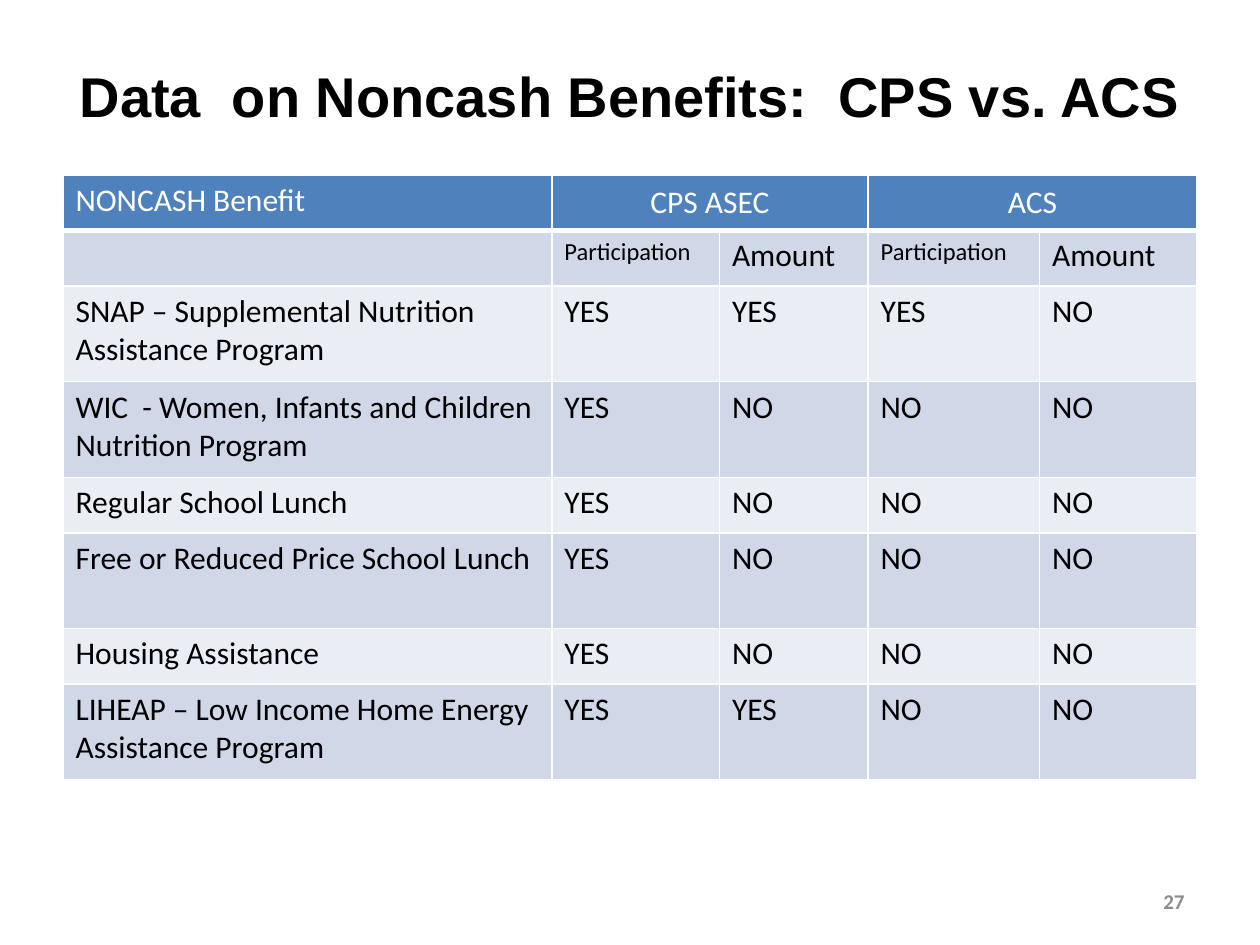
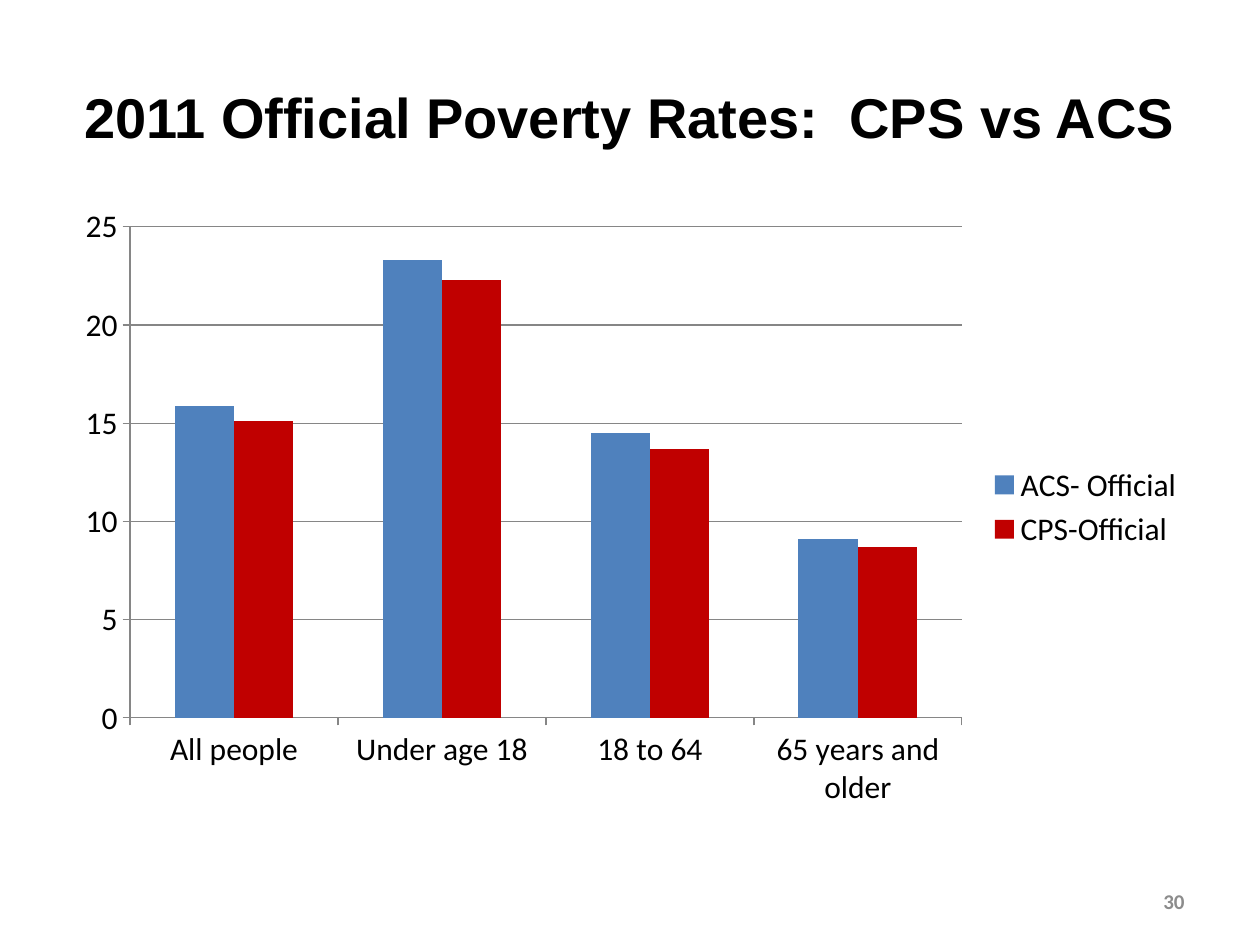
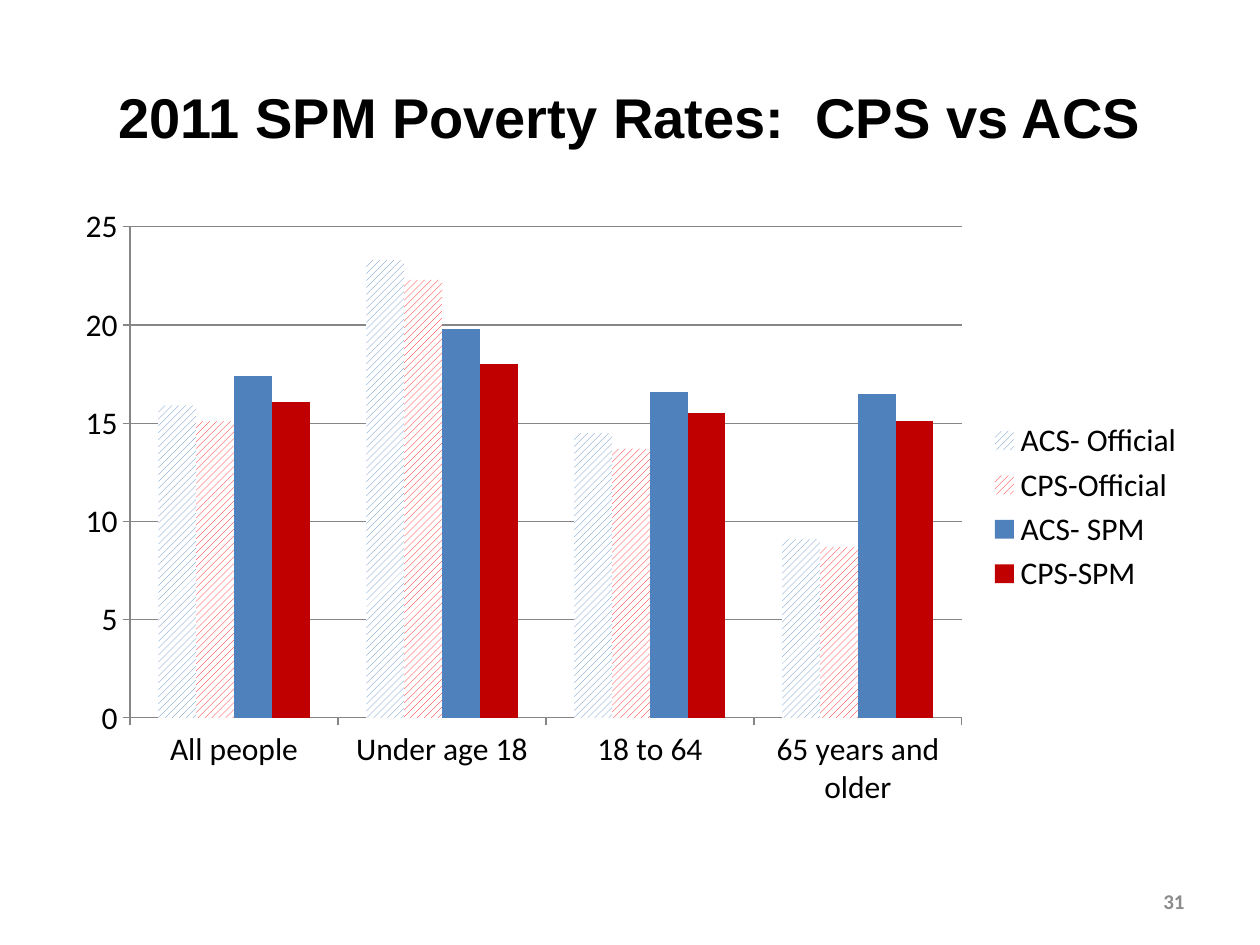
"""Build three slides comparing CPS and ACS benefit data and poverty rates."""
from dataclasses import dataclass

from lxml.etree import SubElement
from pptx import Presentation
from pptx.chart.data import CategoryChartData
from pptx.dml.color import RGBColor
from pptx.enum.chart import XL_CHART_TYPE, XL_LEGEND_POSITION, XL_TICK_MARK
from pptx.enum.dml import MSO_PATTERN
from pptx.enum.text import MSO_ANCHOR, PP_ALIGN
from pptx.oxml.ns import qn
from pptx.presentation import Presentation as Deck
from pptx.slide import Slide
from pptx.table import _Cell as Cell
from pptx.text.text import Font
from pptx.util import Pt

EMU_PER_PX = 9144
COLORS = {
    "black": "000000",
    "white": "FFFFFF",
    "blue": "4F81BD",
    "dark_red": "C00000",
    "red": "FF0000",
    "band_dark": "D0D8E8",
    "band_light": "E9EDF4",
    "page_gray": "8C8C8C",
    "axis_gray": "868686",
}
TITLE_FONT = "Arial"
BODY_FONT = "Calibri"


@dataclass(frozen=True)
class Box:
    left: int
    top: int
    width: int
    height: int

    def emu(self) -> tuple[int, int, int, int]:
        return px(self.left), px(self.top), px(self.width), px(self.height)


@dataclass(frozen=True)
class RateSeries:
    name: str
    values: tuple[float, ...]
    color: str
    hatched: bool = False


@dataclass(frozen=True)
class ChartSlide:
    title: str
    page: int
    series: tuple[RateSeries, ...]


TABLE_TITLE_BOX = Box(50, 30, 900, 91)
CHART_TITLE_BOX = Box(50, 30, 900, 125)
TABLE_BOX = Box(50, 139, 900, 478)
CHART_BOX = Box(50, 155, 900, 495)
PAGE_BOX = Box(717, 695, 233, 40)

COLUMN_WIDTHS = (388, 133, 118, 136, 125)
ROW_HEIGHTS = (44, 44, 76, 76, 44, 76, 44, 76)
BENEFIT_ROWS = (
    ("NONCASH Benefit", "CPS ASEC", "", "ACS", ""),
    ("", "Participation", "Amount", "Participation", "Amount"),
    ("SNAP – Supplemental Nutrition Assistance Program", "YES", "YES", "YES", "NO"),
    ("WIC  - Women, Infants and Children Nutrition Program", "YES", "NO", "NO", "NO"),
    ("Regular School Lunch", "YES", "NO", "NO", "NO"),
    ("Free or Reduced Price School Lunch", "YES", "NO", "NO", "NO"),
    ("Housing Assistance", "YES", "NO", "NO", "NO"),
    ("LIHEAP – Low Income Home Energy Assistance Program", "YES", "YES", "NO", "NO"),
)
SURVEY_COLUMNS = (1, 3)

AGE_GROUPS = ("All people", "Under age 18", "18 to 64", "65 years and older")
ACS_OFFICIAL = (15.9, 23.3, 14.5, 9.1)
CPS_OFFICIAL = (15.1, 22.3, 13.7, 8.7)
CHART_SLIDES = (
    ChartSlide("2011 Official Poverty Rates:  CPS vs ACS", 30, (
        RateSeries("ACS- Official", ACS_OFFICIAL, "blue"),
        RateSeries("CPS-Official", CPS_OFFICIAL, "dark_red"),
    )),
    ChartSlide("2011 SPM Poverty Rates:  CPS vs ACS", 31, (
        RateSeries("ACS- Official", ACS_OFFICIAL, "blue", hatched=True),
        RateSeries("CPS-Official", CPS_OFFICIAL, "red", hatched=True),
        RateSeries("ACS- SPM", (17.4, 19.8, 16.6, 16.5), "blue"),
        RateSeries("CPS-SPM", (16.1, 18, 15.5, 15.1), "dark_red"),
    )),
)


def px(length: int) -> int:
    return length * EMU_PER_PX


def rgb(color: str) -> RGBColor:
    return RGBColor.from_string(COLORS[color])


def style_font(font: Font, name: str, size: int, color: str, bold: bool = False) -> None:
    font.name = name
    font.size = Pt(size)
    font.bold = bold
    font.color.rgb = rgb(color)


def add_titled_slide(presentation: Deck, text: str, box: Box, page: int) -> Slide:
    slide = presentation.slides.add_slide(presentation.slide_layouts[5])
    title = slide.shapes.title
    title.left, title.top, title.width, title.height = box.emu()
    title.text_frame.text = text
    title.text_frame.vertical_anchor = MSO_ANCHOR.MIDDLE
    paragraph = title.text_frame.paragraphs[0]
    paragraph.alignment = PP_ALIGN.CENTER
    style_font(paragraph.runs[0].font, TITLE_FONT, 32, "black", bold=True)

    text_frame = slide.shapes.add_textbox(*PAGE_BOX.emu()).text_frame
    text_frame.word_wrap = True
    text_frame.vertical_anchor = MSO_ANCHOR.MIDDLE
    text_frame.text = str(page)
    paragraph = text_frame.paragraphs[0]
    paragraph.alignment = PP_ALIGN.RIGHT
    style_font(paragraph.runs[0].font, BODY_FONT, 12, "page_gray", bold=True)
    return slide


def add_borders(cell: Cell, bottom_width: int) -> None:
    properties = cell._tc.get_or_add_tcPr()
    for side, width in (("L", 1), ("R", 1), ("T", 1), ("B", bottom_width)):
        line = SubElement(properties, qn(f"a:ln{side}"), w=str(Pt(width)))
        fill = SubElement(line, qn("a:solidFill"))
        SubElement(fill, qn("a:srgbClr"), val=COLORS["white"])


def fill_cell(cell: Cell, text: str, row: int) -> None:
    is_header = row == 0
    add_borders(cell, 3 if is_header else 1)
    cell.fill.solid()
    band = "band_dark" if row % 2 else "band_light"
    cell.fill.fore_color.rgb = rgb("blue" if is_header else band)
    cell.text_frame.text = text
    size = 14 if text == "Participation" else 18
    for run in cell.text_frame.paragraphs[0].runs:
        style_font(run.font, BODY_FONT, size, "white" if is_header else "black")


def add_benefit_table(slide: Slide) -> None:
    table = slide.shapes.add_table(
        len(ROW_HEIGHTS), len(COLUMN_WIDTHS), *TABLE_BOX.emu()).table
    for column, width in zip(table.columns, COLUMN_WIDTHS):
        column.width = px(width)
    for row, height in zip(table.rows, ROW_HEIGHTS):
        row.height = px(height)
    for row_index, texts in enumerate(BENEFIT_ROWS):
        for column_index, text in enumerate(texts):
            fill_cell(table.cell(row_index, column_index), text, row_index)
    for column_index in SURVEY_COLUMNS:
        cell = table.cell(0, column_index)
        cell.merge(table.cell(0, column_index + 1))
        cell.vertical_anchor = MSO_ANCHOR.MIDDLE
        cell.text_frame.paragraphs[0].alignment = PP_ALIGN.CENTER


def add_rate_chart(slide: Slide, rates: tuple[RateSeries, ...]) -> None:
    data = CategoryChartData()
    data.categories = AGE_GROUPS
    for rate in rates:
        data.add_series(rate.name, rate.values)
    chart = slide.shapes.add_chart(
        XL_CHART_TYPE.COLUMN_CLUSTERED, *CHART_BOX.emu(), data).chart
    chart.has_title = False
    style_font(chart.font, BODY_FONT, 18, "black")
    chart.has_legend = True
    chart.legend.position = XL_LEGEND_POSITION.RIGHT
    chart.legend.include_in_layout = False

    value_axis = chart.value_axis
    value_axis.minimum_scale = 0
    value_axis.maximum_scale = 25
    value_axis.major_unit = 5
    value_axis.has_major_gridlines = True
    value_axis.tick_labels.number_format = "#,##0"
    value_axis.tick_labels.number_format_is_linked = False
    for axis in (chart.category_axis, value_axis):
        axis.major_tick_mark = XL_TICK_MARK.OUTSIDE
    for axis_part in (chart.category_axis, value_axis, value_axis.major_gridlines):
        axis_part.format.line.color.rgb = rgb("axis_gray")
        axis_part.format.line.width = Pt(0.75)

    plot = chart.plots[0]
    plot.gap_width = 150
    plot.overlap = 0
    plot.vary_by_categories = False
    for series, rate in zip(plot.series, rates):
        fill = series.format.fill
        if rate.hatched:
            fill.patterned()
            fill.pattern = MSO_PATTERN.WIDE_UPWARD_DIAGONAL
            fill.back_color.rgb = rgb("white")
        else:
            fill.solid()
        fill.fore_color.rgb = rgb(rate.color)


def main() -> None:
    presentation = Presentation()
    presentation.slide_width = px(1000)
    presentation.slide_height = px(750)
    slide = add_titled_slide(
        presentation, "Data  on Noncash Benefits:  CPS vs. ACS", TABLE_TITLE_BOX, 27)
    add_benefit_table(slide)
    for chart_slide in CHART_SLIDES:
        slide = add_titled_slide(
            presentation, chart_slide.title, CHART_TITLE_BOX, chart_slide.page)
        add_rate_chart(slide, chart_slide.series)
    presentation.save("out.pptx")


if __name__ == "__main__":
    main()
